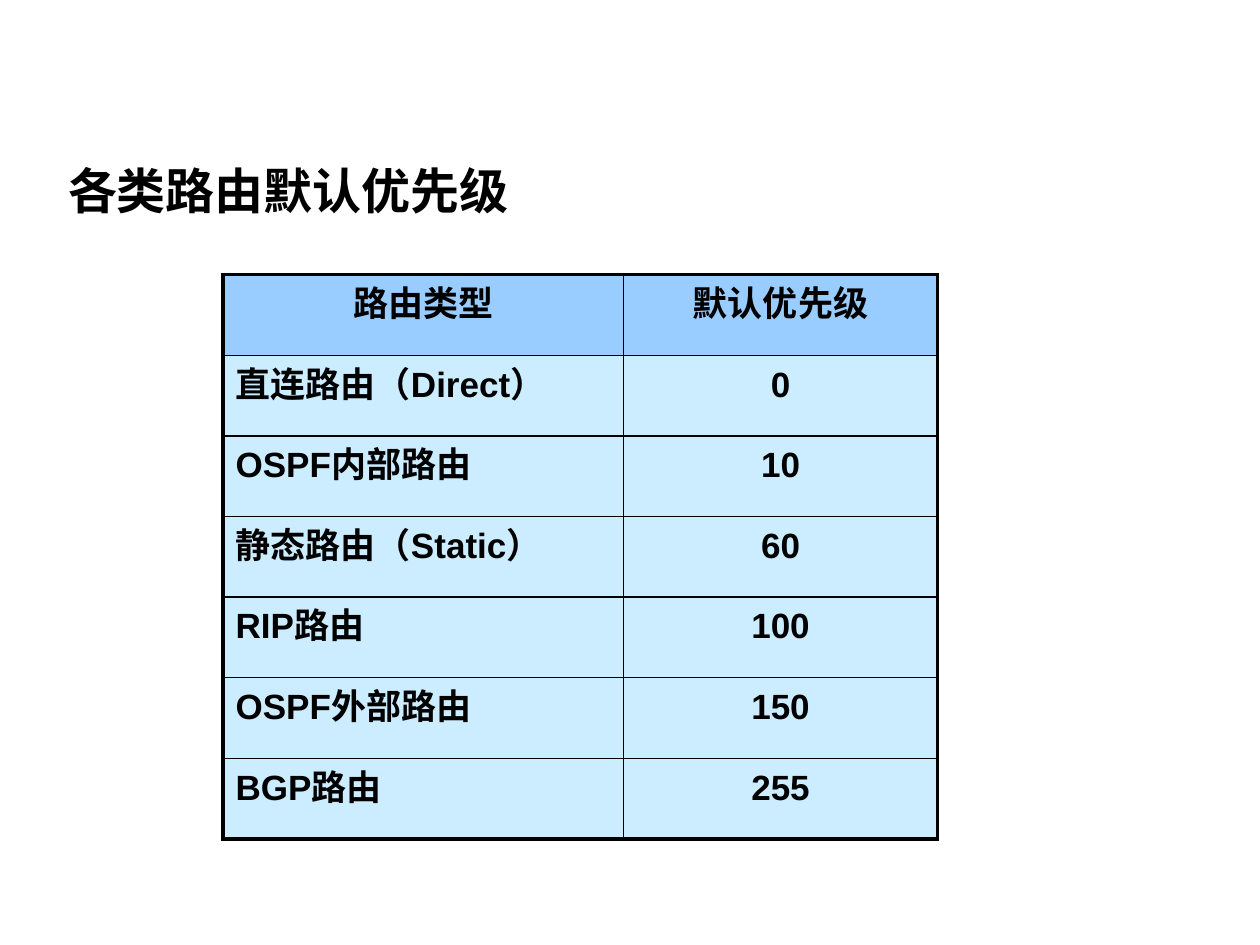
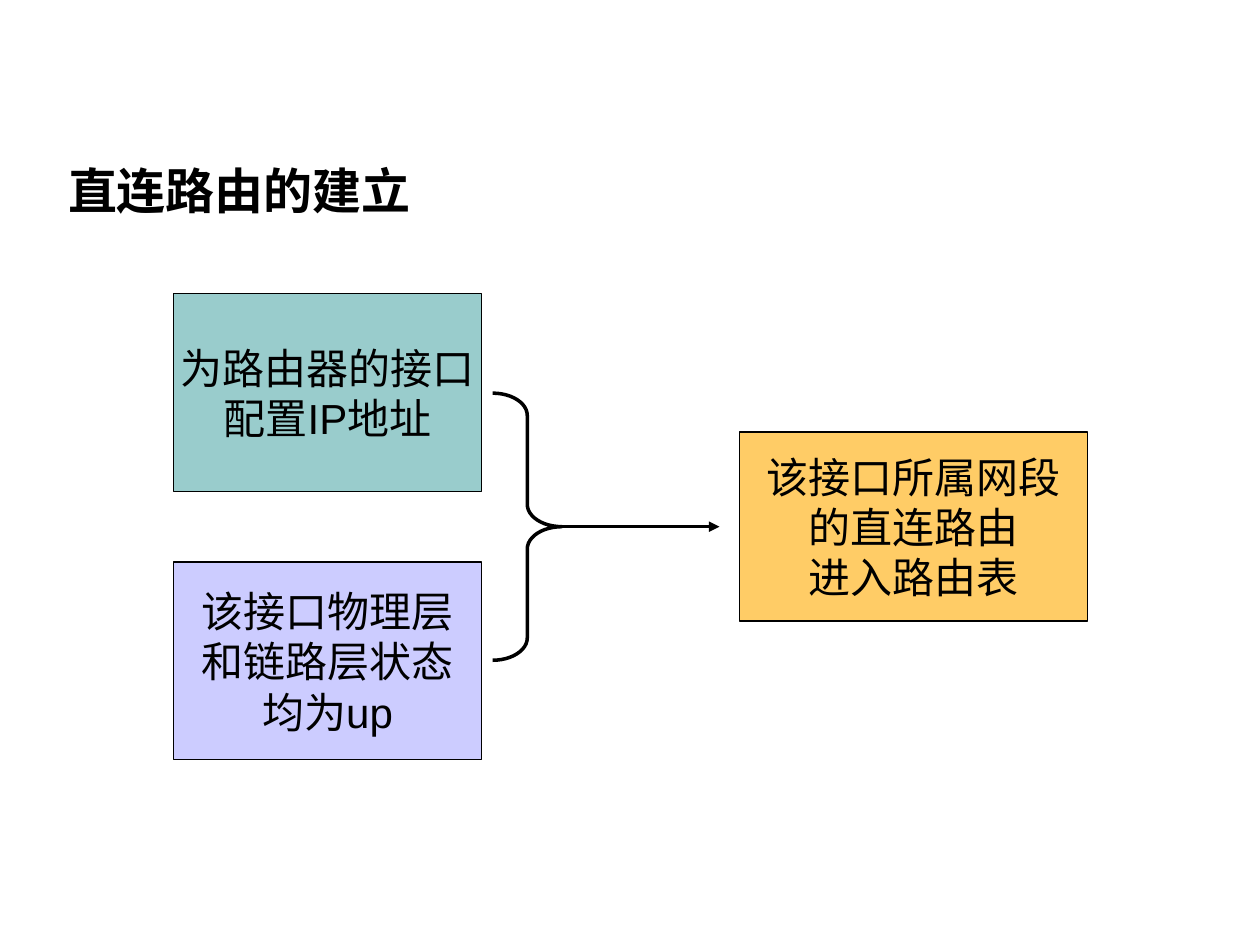
from lxml.etree import SubElement
from pptx import Presentation
from pptx.dml.color import RGBColor
from pptx.enum.shapes import MSO_CONNECTOR, MSO_SHAPE
from pptx.enum.text import MSO_ANCHOR, MSO_AUTO_SIZE, PP_ALIGN
from pptx.oxml.ns import qn
from pptx.util import Inches, Pt

PRIORITY_TITLE = "各类路由默认优先级"
PRIORITIES = [
    ("路由类型", "默认优先级"),
    ("直连路由（Direct）", "0"),
    ("OSPF内部路由", "10"),
    ("静态路由（Static）", "60"),
    ("RIP路由", "100"),
    ("OSPF外部路由", "150"),
    ("BGP路由", "255"),
]
COLUMN_WIDTHS = (3.18, 2.49)
ROW_HEIGHT = 0.64

DIRECT_TITLE = "直连路由的建立"
# left, top, width, height, fill, lines
BOXES = [
    (1.38, 2.33, 2.44, 1.57, "99CCCC", ["为路由器的接口", "配置IP地址"]),
    (1.38, 4.46, 2.44, 1.57, "CCCCFF", ["该接口物理层", "和链路层状态", "均为up"]),
    (5.87, 3.43, 2.76, 1.5, "FFCC66", ["该接口所属网段", "的直连路由", "进入路由表"]),
]
BRACE = (3.91, 3.12, 0.55, 2.12)
ARROW_END = 5.71

BLACK, HEADER_FILL, BODY_FILL = "000000", "99CCFF", "CCECFF"
TITLE_FONT, BODY_FONT = "Noto Sans CJK JP", "Arial"
OUTER_BORDER, INNER_BORDER = 2.25, 1


def rgb(value):
    return RGBColor.from_string(value)


def inches(*values):
    return [Inches(v) for v in values]


def style_paragraph(p, size, bold=False, align=PP_ALIGN.LEFT, font=BODY_FONT):
    p.alignment = align
    p.font.size = Pt(size)
    p.font.bold = bold
    p.font.color.rgb = rgb(BLACK)
    p.font.name = font
    # East Asian characters take their typeface from a separate element
    def_rpr = p._p.pPr.find(qn("a:defRPr"))
    SubElement(def_rpr, qn("a:ea"), typeface=font)


def style_line(line, width):
    line.color.rgb = rgb(BLACK)
    line.width = Pt(width)


def add_titled_slide(prs, title):
    slide = prs.slides.add_slide(prs.slide_layouts[5])
    sp = slide.shapes.title
    sp.left, sp.top, sp.width, sp.height = inches(0.44, 1.15, 8.61, 0.71)
    tf = sp.text_frame
    tf.text = title
    tf.auto_size = MSO_AUTO_SIZE.NONE
    tf.vertical_anchor = MSO_ANCHOR.MIDDLE
    style_paragraph(tf.paragraphs[0], 28, bold=True, font=TITLE_FONT)
    return slide


def set_borders(cell, **widths):
    """Draw black borders; keys L, R, T, B must come in that order."""
    tc_pr = cell._tc.get_or_add_tcPr()
    for side, width in widths.items():
        ln = SubElement(tc_pr, qn(f"a:ln{side}"), w=str(Pt(width)))
        fill = SubElement(ln, qn("a:solidFill"))
        SubElement(fill, qn("a:srgbClr"), val=BLACK)


def add_priority_table(slide):
    rows, cols = len(PRIORITIES), len(COLUMN_WIDTHS)
    size = inches(sum(COLUMN_WIDTHS), rows * ROW_HEIGHT)
    table = slide.shapes.add_table(rows, cols, *inches(1.77, 2.18), *size).table
    table.first_row = table.horz_banding = False
    for column, width in zip(table.columns, COLUMN_WIDTHS):
        column.width = Inches(width)

    def border(at_edge):
        return OUTER_BORDER if at_edge else INNER_BORDER

    for r, texts in enumerate(PRIORITIES):
        table.rows[r].height = Inches(ROW_HEIGHT)
        for c, text in enumerate(texts):
            cell = table.cell(r, c)
            cell.text = text
            p = cell.text_frame.paragraphs[0]
            left_aligned = r > 0 and c == 0
            style_paragraph(p, 20, bold=True,
                            align=PP_ALIGN.LEFT if left_aligned else PP_ALIGN.CENTER)
            p.line_spacing = 1.1
            set_borders(cell, L=border(c == 0), R=border(c == cols - 1),
                        T=border(r == 0), B=border(r == rows - 1))
            cell.fill.solid()
            cell.fill.fore_color.rgb = rgb(BODY_FILL if r else HEADER_FILL)


def add_box(slide, left, top, width, height, fill, lines):
    sp = slide.shapes.add_shape(MSO_SHAPE.RECTANGLE,
                                *inches(left, top, width, height))
    sp.shadow.inherit = False
    sp.fill.solid()
    sp.fill.fore_color.rgb = rgb(fill)
    style_line(sp.line, 0.75)
    tf = sp.text_frame
    tf.word_wrap = False
    tf.vertical_anchor = MSO_ANCHOR.MIDDLE
    tf.text = "\n".join(lines)
    for p in tf.paragraphs:
        style_paragraph(p, 24, align=PP_ALIGN.CENTER)


def add_brace_with_arrow(slide):
    left, top, width, height = BRACE
    brace = slide.shapes.add_shape(MSO_SHAPE.RIGHT_BRACE, *inches(*BRACE))
    brace.shadow.inherit = False
    brace.adjustments[0] = 0.322
    brace.fill.background()
    style_line(brace.line, 2)

    middle = top + height / 2
    arrow = slide.shapes.add_connector(
        MSO_CONNECTOR.STRAIGHT, *inches(left + width, middle, ARROW_END, middle))
    style_line(arrow.line, 2)
    SubElement(arrow.line._get_or_add_ln(), qn("a:tailEnd"), type="triangle")
    SubElement(arrow._element.spPr, qn("a:effectLst"))


def main():
    prs = Presentation()
    prs.slide_width, prs.slide_height = inches(10, 7.5)

    add_priority_table(add_titled_slide(prs, PRIORITY_TITLE))

    slide = add_titled_slide(prs, DIRECT_TITLE)
    for box in BOXES:
        add_box(slide, *box)
    add_brace_with_arrow(slide)

    prs.save("out.pptx")


if __name__ == "__main__":
    main()
